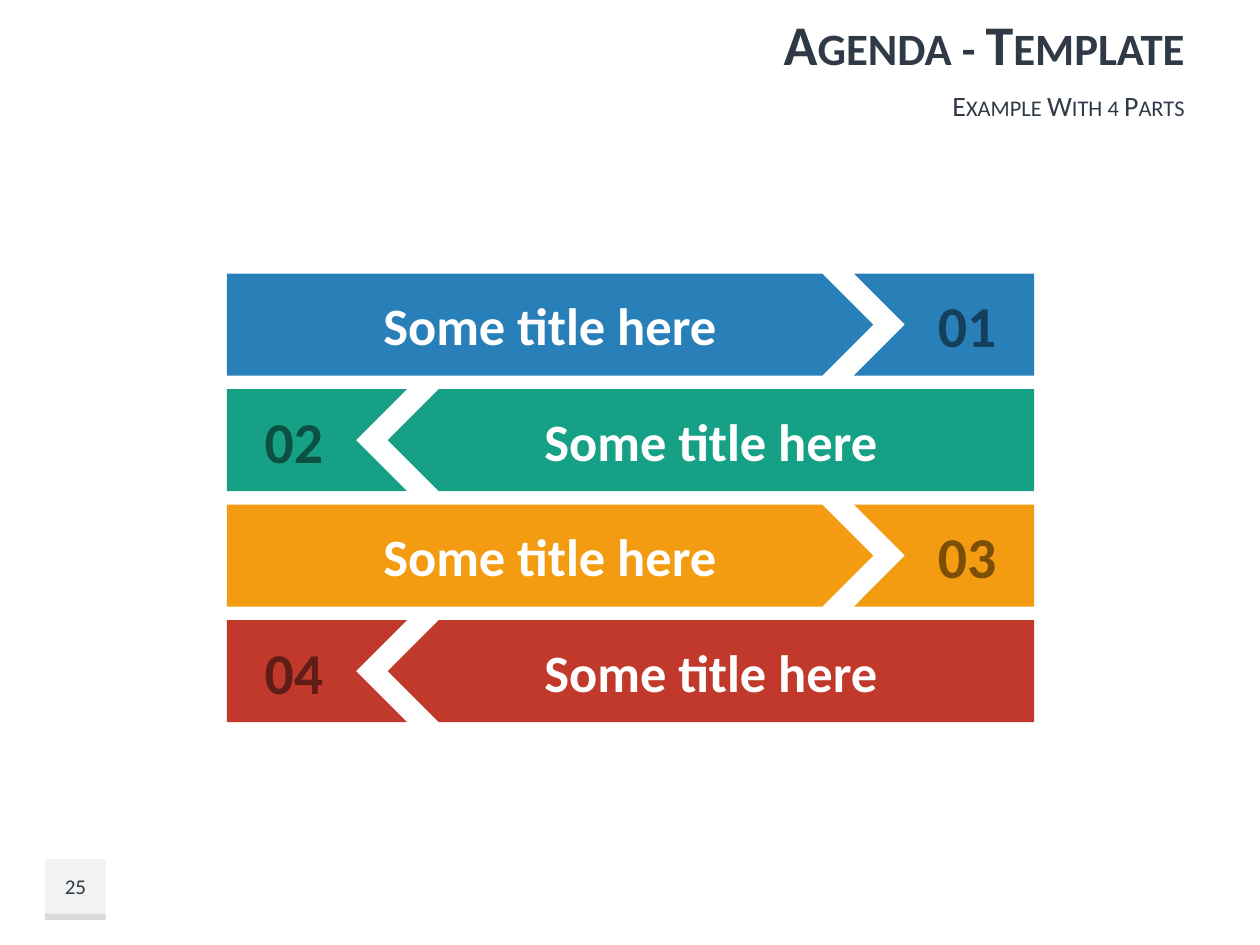
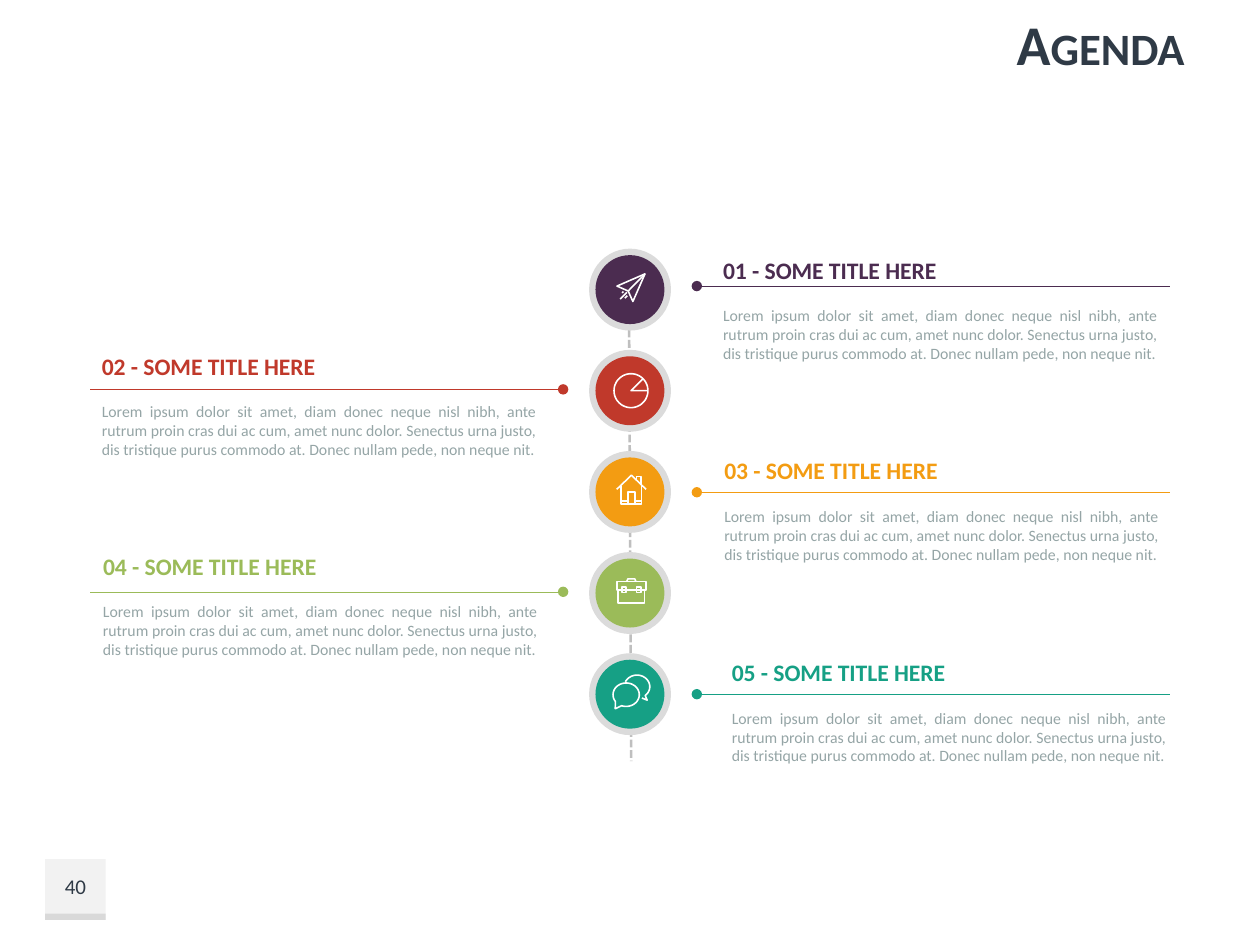
from dataclasses import dataclass
from math import cos, radians, sin

from lxml.etree import SubElement
from pptx import Presentation
from pptx.dml.color import RGBColor
from pptx.enum.dml import MSO_LINE as Dash
from pptx.enum.shapes import MSO_CONNECTOR as Connector, MSO_SHAPE as Preset
from pptx.enum.text import MSO_ANCHOR as Anchor, PP_ALIGN as Align
from pptx.oxml.ns import qn
from pptx.util import Pt

Point = tuple[float, float]
Stroke = list[Point]


@dataclass(frozen=True)
class Theme:
    """Colours, font and type sizes of the deck."""
    font: str = "Calibri"
    ink: str = "2F3A46"
    white: str = "FFFFFF"
    body: str = "95A5A6"
    tile: str = "F2F2F2"
    tile_edge: str = "D9D9D9"
    ring: str = "DBDBDB"
    spine: str = "BFBFBF"
    blue: str = "2980B9"
    green: str = "16A085"
    orange: str = "F39C12"
    red: str = "C0392B"
    purple: str = "4B2C50"
    lime: str = "9BBB59"
    title_size: float = 32
    subtitle_size: float = 16
    page_size: float = 12
    banner_size: float = 30
    number_size: float = 33
    heading_size: float = 13.5
    body_size: float = 9


@dataclass(frozen=True)
class Banner:
    """One agenda row: an arrow with a title and a notched number badge."""
    number: str
    color: str
    number_color: str
    points_right: bool


@dataclass(frozen=True)
class Stop:
    """One timeline stop: its disc, its rule and its text."""
    number: str
    color: str
    on_right: bool
    rule_y: float
    text_left: float
    text_top: float
    icon: list[Stroke]


THEME = Theme()
LOREM = ("Lorem ipsum dolor sit amet, diam donec neque nisl nibh, ante rutrum "
         "proin cras dui ac cum, amet nunc dolor. Senectus urna justo, dis "
         "tristique purus commodo at. Donec nullam pede, non neque nit.")


def rgb(color: str) -> RGBColor:
    """Turn a hex string into a colour."""
    return RGBColor.from_string(color)


def write(shape, text: str, *, size: float, color: str, bold: bool = False,
          small_caps: bool = False, align=Align.LEFT, anchor=Anchor.MIDDLE,
          insets: tuple = (7.2, 3.6, 7.2, 3.6), wrap: bool = True) -> None:
    """Put one formatted paragraph into a shape."""
    frame = shape.text_frame
    frame.word_wrap = wrap
    frame.vertical_anchor = anchor
    (frame.margin_left, frame.margin_top,
     frame.margin_right, frame.margin_bottom) = map(Pt, insets)
    paragraph = frame.paragraphs[0]
    paragraph.alignment = align
    run = paragraph.add_run()
    run.text = text
    run.font.name = THEME.font
    run.font.size = Pt(size)
    run.font.bold = bold
    run.font.color.rgb = rgb(color)
    if small_caps:
        run._r.get_or_add_rPr().set("cap", "small")


def add_text(slide, box: tuple, text: str, **style) -> None:
    """Add a text box; box is left, top, width, height."""
    write(slide.shapes.add_textbox(*map(Pt, box)), text, **style)


def paint(shape, color: str) -> None:
    """Give a shape a flat fill without line or shadow."""
    shape.shadow.inherit = False
    shape.fill.solid()
    shape.fill.fore_color.rgb = rgb(color)
    shape.line.fill.background()


def add_preset(slide, preset, box: tuple, color: str) -> None:
    """Add a flat preset shape."""
    paint(slide.shapes.add_shape(preset, *map(Pt, box)), color)


def add_outline(slide, strokes: list[Stroke], closed: bool):
    """Add one freeform made of one or more polylines."""
    strokes = [[(Pt(x), Pt(y)) for x, y in stroke] for stroke in strokes]
    builder = slide.shapes.build_freeform(*strokes[0][0])
    for index, stroke in enumerate(strokes):
        if index:
            builder.move_to(*stroke[0])
        builder.add_line_segments(stroke[1:], close=closed)
    shape = builder.convert_to_shape()
    shape.shadow.inherit = False
    return shape


def add_rule(slide, start: Point, end: Point, color: str, width: float,
             dash=None, dot: bool = False) -> None:
    """Add a line, dashed or with a dot at its start if asked."""
    line = slide.shapes.add_connector(Connector.STRAIGHT,
                                      *map(Pt, (*start, *end)))
    line.line.color.rgb = rgb(color)
    line.line.width = Pt(width)
    if dash is not None:
        line.line.dash_style = dash
    if dot:
        SubElement(line.line._get_or_add_ln(), qn("a:headEnd"), type="oval")
    SubElement(line._element.spPr, qn("a:effectLst"))


def add_frame(presentation, title: str, page: str, subtitle: str = ""):
    """Add a slide with its title, optional subtitle and page tile."""
    slide = presentation.slides.add_slide(presentation.slide_layouts[6])
    add_preset(slide, Preset.RECTANGLE, (25.8, 491, 34.6, 34.6), THEME.tile)
    add_preset(slide, Preset.RECTANGLE, (25.8, 522, 34.6, 3.6),
               THEME.tile_edge)
    add_text(slide, (25.8, 491, 34.6, 31), page, size=THEME.page_size,
             color=THEME.ink, align=Align.CENTER)
    heading = dict(color=THEME.ink, small_caps=True, align=Align.RIGHT)
    add_text(slide, (229.7, 0, 454.3, 49), title, size=THEME.title_size,
             bold=True, **heading)
    if subtitle:
        add_text(slide, (229.7, 49, 454.3, 22.3), subtitle,
                 size=THEME.subtitle_size, **heading)
    return slide


def add_banner(slide, banner: Banner, top: float) -> None:
    """Draw a row; rows that point left are mirrored."""
    left, right, height, tip = 129.6, 591, 58.2, 29.1
    arrow_end, badge_start = 499, 488
    middle, bottom = top + height / 2, top + height
    arrow = [(left, top), (arrow_end - tip, top), (arrow_end, middle),
             (arrow_end - tip, bottom), (left, bottom)]
    badge = [(badge_start, top), (right, top), (right, bottom),
             (badge_start, bottom), (badge_start + tip, middle)]
    align, insets = Align.RIGHT, (7.2, 0, 21.6, 0)
    if not banner.points_right:
        arrow, badge = ([(left + right - x, y) for x, y in points]
                        for points in (arrow, badge))
        align, insets = Align.LEFT, (21.6, 0, 7.2, 0)
    badge_shape = add_outline(slide, [badge], closed=True)
    paint(badge_shape, banner.color)
    write(badge_shape, banner.number, size=THEME.number_size, bold=True,
          color=banner.number_color, align=align, insets=insets)
    arrow_shape = add_outline(slide, [arrow], closed=True)
    paint(arrow_shape, banner.color)
    write(arrow_shape, "Some title here", size=THEME.banner_size, bold=True,
          color=THEME.white, align=Align.CENTER)


def arc(center: Point, radii: Point, start: int, end: int) -> Stroke:
    """Sample an elliptical arc, clockwise, in degrees."""
    return [(center[0] + radii[0] * cos(radians(angle)),
             center[1] + radii[1] * sin(radians(angle)))
            for angle in range(start, end + 1, 5)]


def rectangle(left: float, top: float, right: float, bottom: float) -> Stroke:
    """Return a closed rectangular stroke."""
    return [(left, top), (right, top), (right, bottom), (left, bottom),
            (left, top)]


def add_stop(slide, stop: Stop, center_y: float) -> None:
    """Draw a stop's disc and icon, its rule, heading and text."""
    center_x = 360
    for diameter, color in ((46.8, THEME.ring), (39.4, stop.color)):
        add_preset(slide, Preset.OVAL,
                   (center_x - diameter / 2, center_y - diameter / 2,
                    diameter, diameter), color)
    icon = add_outline(slide, [[(center_x + x, center_y + y) for x, y in stroke]
                               for stroke in stop.icon], closed=False)
    icon.fill.background()
    icon.line.color.rgb = rgb(THEME.white)
    icon.line.width = Pt(0.9)

    side = 1 if stop.on_right else -1
    add_rule(slide, (center_x + side * 38.2, stop.rule_y),
             (center_x + side * 308.8, stop.rule_y), stop.color, 0.25, dot=True)
    add_text(slide, (stop.text_left, stop.text_top, 138.2, 23.8),
             f"{stop.number} - SOME TITLE HERE", size=THEME.heading_size,
             color=stop.color, bold=True, anchor=Anchor.TOP, wrap=False)
    add_text(slide, (stop.text_left, stop.text_top + 28.8, 262.1, 51.1),
             LOREM, size=THEME.body_size, color=THEME.body,
             align=Align.JUSTIFY, anchor=Anchor.TOP)


PLANE = [[(-7.4, -2), (8.6, -9), (1.7, 6.8), (-1, 0.8), (-7.4, -2)],
         [(-1, 0.8), (8.6, -9)],
         [(-5.6, 5.4), (-1.7, 1.5)], [(-2.9, 4.9), (-1.5, 3.5)],
         [(-4.5, 1.9), (-3.7, 1.1)]]
PIE = [arc((0.6, 0), (9.7, 9.7), 0, 360),
       [(10.3, 0), (0.6, 0), (7.5, -6.9)]]
HOUSE = [[(-7.6, -1.4), (0.8, -9.5), (9.2, -1.4)],
         [(-5.2, -3.4), (-5.2, 7), (6.6, 7), (6.6, -3.4)],
         [(-1.2, 7), (-1.2, 0), (2.7, 0), (2.7, 7)],
         [(3.6, -7), (3.6, -8.7), (6.2, -8.7), (6.2, -4.4)],
         [(-5.2, 5.1), (-1.2, 5.1)], [(2.7, 5.1), (6.6, 5.1)]]
BRIEFCASE = [rectangle(-7.5, -6.6, 9.1, -1.8),
             [(-6.8, -1.8), (-6.8, 5.7), (8.4, 5.7), (8.4, -1.8)],
             [(-1.8, -6.6), (-1.2, -8.1), (2.8, -8.1), (3.4, -6.6)],
             rectangle(-4.6, -3.5, -2.1, -0.4),
             rectangle(3.7, -3.5, 6.2, -0.4)]
FRONT_BUBBLE = arc((-2.2, 0.3), (7.5, 6.7), 145, 470)
BUBBLES = [FRONT_BUBBLE + [(-8.4, 8.3), FRONT_BUBBLE[0]],
           arc((4, -4.3), (7.3, 6.6), 205, 410) + [(9.8, 3.4), (6.8, 2.2)]]

BANNERS = [Banner("01", THEME.blue, "14405C", True),
           Banner("02", THEME.green, "0B5043", False),
           Banner("03", THEME.orange, "7C4F06", True),
           Banner("04", THEME.red, "601C16", False)]
STOPS = [Stop("01", THEME.purple, True, 163.5, 406.1, 142.6, PLANE),
         Stop("02", THEME.red, False, 222.5, 51.1, 197.3, PIE),
         Stop("03", THEME.orange, True, 281.3, 406.8, 257, HOUSE),
         Stop("04", THEME.lime, False, 338.2, 51.8, 311.7, BRIEFCASE),
         Stop("05", THEME.green, True, 396.7, 411.1, 372.4, BUBBLES)]


def build_banners(presentation) -> None:
    """Build the agenda slide with four banners."""
    slide = add_frame(presentation, "Agenda - Template", "25",
                      "Example With 4 Parts")
    for index, banner in enumerate(BANNERS):
        add_banner(slide, banner, 156.4 + 66 * index)


def build_timeline(presentation) -> None:
    """Build the agenda slide with the vertical timeline."""
    slide = add_frame(presentation, "Agenda", "40")
    add_rule(slide, (359.3, 146.2), (360.7, 434.9), THEME.spine, 1.5,
             dash=Dash.SQUARE_DOT)
    for index, stop in enumerate(STOPS):
        add_stop(slide, stop, 165.5 + 57.8 * index)


def main() -> None:
    """Build and save the presentation."""
    presentation = Presentation()
    presentation.slide_width, presentation.slide_height = Pt(720), Pt(540)
    build_banners(presentation)
    build_timeline(presentation)
    presentation.save("out.pptx")


main()
